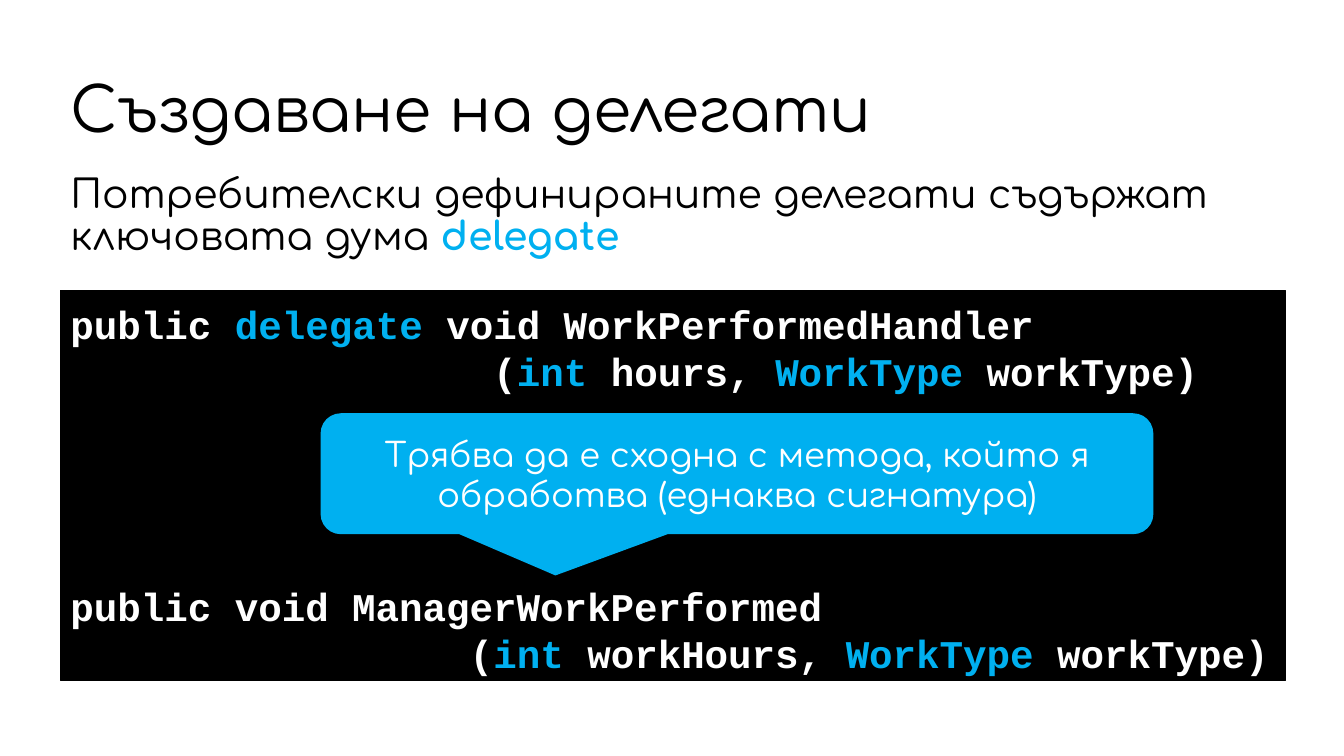
from dataclasses import dataclass

from pptx import Presentation
from pptx.dml.color import RGBColor as Color
from pptx.enum.shapes import MSO_SHAPE as Shape
from pptx.enum.text import MSO_ANCHOR as Anchor, PP_ALIGN as Align
from pptx.util import Inches, Pt


@dataclass(frozen=True)
class Theme:
    """Colours, fonts and type sizes of the deck."""
    ink: str = "000000"
    paper: str = "FFFFFF"
    accent: str = "00B0F0"
    prose: str = "Comfortaa"
    mono: str = "Courier New"
    title: int = 44
    body: int = 28
    note: int = 24
    code_line: float = 33.6


def write(para, text, *, font, size, color, bold=False):
    """Append one formatted span to a paragraph."""
    span = para.add_run()
    span.text = text
    span.font.name = font
    span.font.size = Pt(size)
    span.font.bold = bold
    span.font.color.rgb = Color.from_string(color)


class SlideBuilder:
    """Places styled elements on the current page."""

    def __init__(self, page, theme):
        self.page = page
        self.theme = theme

    def text(self, area, pieces, size, anchor=Anchor.TOP):
        """Add prose; pieces are pairs of text and whether it is a keyword."""
        theme = self.theme
        frame = self.page.shapes.add_textbox(*map(Inches, area)).text_frame
        frame.word_wrap = True
        frame.vertical_anchor = anchor
        para = frame.paragraphs[0]
        para.line_spacing = 0.9
        for text, keyword in pieces:
            write(para, text, font=theme.prose, size=size, bold=keyword,
                  color=theme.accent if keyword else theme.ink)

    def shape(self, kind, area, fill):
        """Add a filled shape without outline or shadow."""
        box = self.page.shapes.add_shape(kind, *map(Inches, area))
        box.shadow.inherit = False
        box.fill.solid()
        box.fill.fore_color.rgb = Color.from_string(fill)
        box.line.fill.background()
        box.text_frame.word_wrap = True
        return box

    def code(self, area, blocks, gap):
        """Add a code panel whose blocks of lines are set apart by a gap."""
        theme = self.theme
        box = self.shape(Shape.RECTANGLE, area, theme.ink)
        box.line.color.rgb = Color.from_string(theme.ink)
        box.line.width = Pt(1)
        frame = box.text_frame
        frame.vertical_anchor = Anchor.TOP
        frame.margin_top = Inches(0.1)
        for block_index, block in enumerate(blocks):
            for line_index, line in enumerate(block):
                first = block_index == line_index == 0
                para = frame.paragraphs[0] if first else frame.add_paragraph()
                para.alignment = Align.LEFT
                para.line_spacing = Pt(theme.code_line)
                if block_index and not line_index:
                    para.space_before = Pt(gap)
                for text, keyword in line:
                    write(para, text, font=theme.mono, size=theme.body, bold=True,
                          color=theme.accent if keyword else theme.paper)

    def callout(self, area, text, adjustments):
        """Add a rounded speech callout with centred text."""
        theme = self.theme
        box = self.shape(Shape.ROUNDED_RECTANGULAR_CALLOUT, area, theme.accent)
        for index, value in enumerate(adjustments):
            box.adjustments[index] = value
        box.text_frame.vertical_anchor = Anchor.MIDDLE
        para = box.text_frame.paragraphs[0]
        para.alignment = Align.CENTER
        write(para, text, font=theme.prose, size=theme.note, color=theme.paper)


def parameters(indent, hours):
    """Return the indented parameter line of a signature."""
    return [(" " * indent + "(", False), ("int", True), (f" {hours}, ", False),
            ("WorkType", True), (" workType)", False)]


def main():
    """Build the slide and save the deck."""
    theme = Theme()
    deck = Presentation()
    deck.slide_width, deck.slide_height = Inches(13.33), Inches(7.5)
    builder = SlideBuilder(deck.slides.add_slide(deck.slide_layouts[6]), theme)
    left, width = 0.6, 12.15

    builder.text((left, 0.55, width, 1.13), [("Създаване на делегати", False)],
                 theme.title, Anchor.MIDDLE)
    builder.text((left, 1.68, width, 1.01),
                 [("Потребителски дефинираните делегати съдържат ключовата дума ", False),
                  ("delegate", True)], theme.body)
    builder.code((left, 2.88, width, 3.87), [
        [[("public ", False), ("delegate", True), (" void WorkPerformedHandler", False)],
         parameters(18, "hours")],
        [[("public void ManagerWorkPerformed", False)],
         parameters(17, "workHours")],
    ], gap=4 * theme.code_line)
    builder.callout((3.18, 4.1, 8.26, 1.2),
                    "Трябва да е сходна с метода, който я обработва (еднаква сигнатура)",
                    (-0.218, 0.841, 0.167))
    deck.save("out.pptx")


if __name__ == "__main__":
    main()
